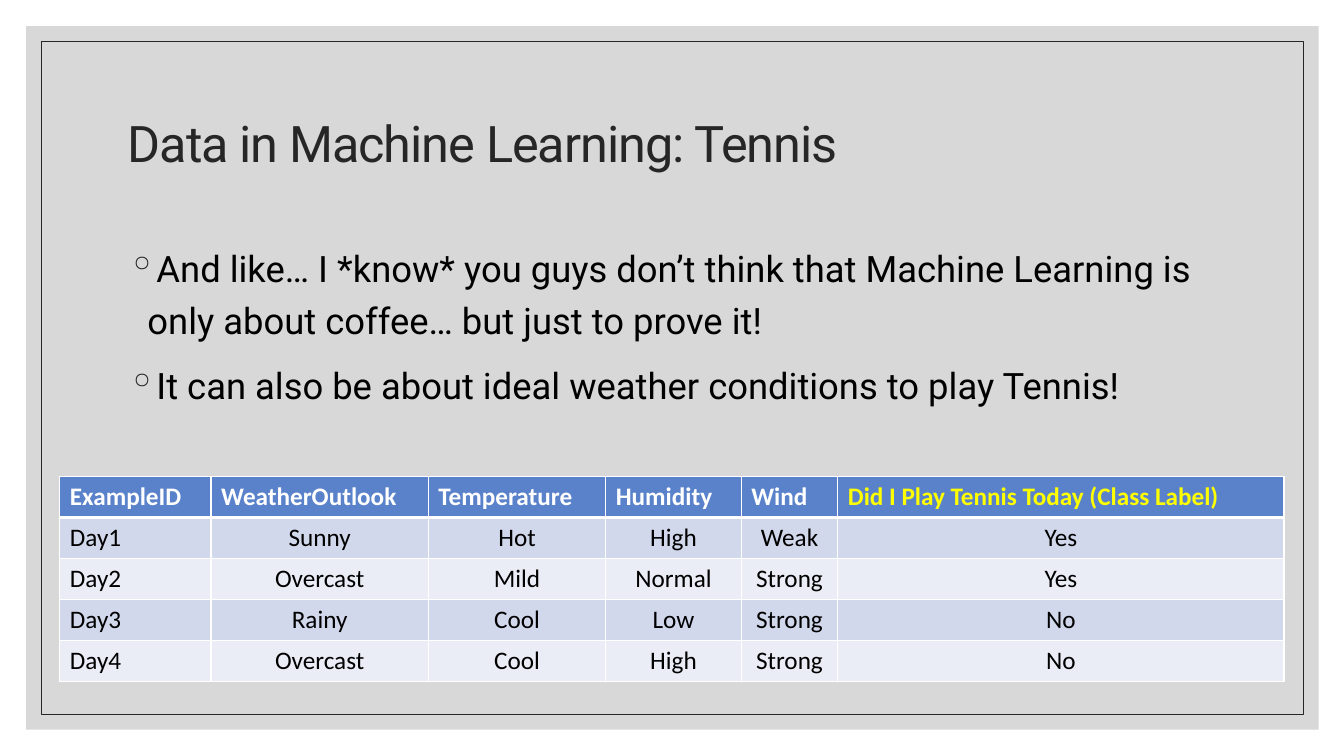
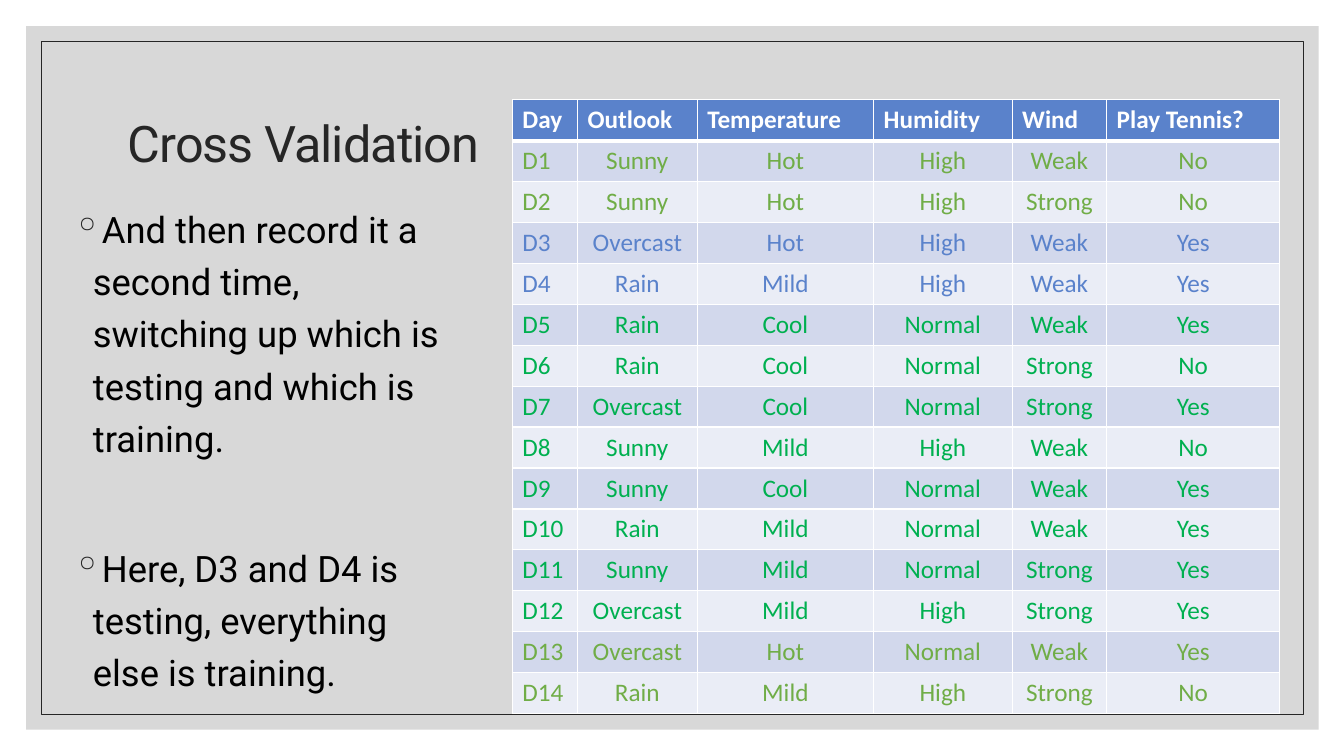
from dataclasses import dataclass
from typing import Any, NamedTuple

from lxml import etree
from pptx import Presentation
from pptx.dml.color import RGBColor
from pptx.enum.shapes import MSO_SHAPE
from pptx.enum.text import MSO_ANCHOR, MSO_AUTO_SIZE, PP_ALIGN
from pptx.oxml.ns import qn
from pptx.util import Pt

RECTANGLE = MSO_SHAPE.RECTANGLE
TOP, MIDDLE = MSO_ANCHOR.TOP, MSO_ANCHOR.MIDDLE
NO_FIT = MSO_AUTO_SIZE.NONE
LEFT, CENTER = PP_ALIGN.LEFT, PP_ALIGN.CENTER

EMU_PER_PX = 9525
ROW_HEIGHT = 39
TITLE_ONLY = 5

COLORS = {
    "panel": "BFBFBF",
    "charcoal": "262626",
    "black": "000000",
    "white": "FFFFFF",
    "yellow": "FFFF00",
    "blue": "5A82CB",
    "band_dark": "D2D8EC",
    "band_light": "EAEDF6",
    "olive": "70AD47",
    "green": "00B050",
}

TITLE_FONT = {"name": "Roboto", "size": Pt(36), "bold": False}
BODY_FONT = {"name": "Roboto", "size": Pt(26), "bold": False}
HEADER_FONT = {"name": "Calibri", "size": Pt(18), "bold": True}
CELL_FONT = {**HEADER_FONT, "bold": False}
TITLE_FRAME = {"word_wrap": True, "auto_size": NO_FIT, "vertical_anchor": MIDDLE}
BODY_FRAME = {"word_wrap": True, "auto_size": NO_FIT, "vertical_anchor": TOP}
TITLE_PARAGRAPH = {"alignment": LEFT, "line_spacing": 0.9}


class Box(NamedTuple):
    left: int
    top: int
    width: int
    height: int

    def emu(self) -> list[int]:
        return [px(length) for length in self]


class Observations(NamedTuple):
    ink: str
    lines: tuple[str, ...]


@dataclass(frozen=True)
class WeatherTable:
    left: int
    top: int
    column_widths: tuple[int, ...]
    headers: tuple[str, ...]
    groups: tuple[Observations, ...]
    class_label_ink: str = "white"


@dataclass(frozen=True)
class Lesson:
    title: str
    bullets: tuple[str, ...]
    bullets_box: Box
    bullet_gap: int
    weather: WeatherTable


PANEL = Box(25, 25, 1231, 670)
BORDER = Box(39, 39, 1202, 641)
TITLE_BOX = Box(112, 67, 1056, 144)

LESSONS = (
    Lesson(
        title="Data in Machine Learning: Tennis",
        bullets=(
            "And like… I *know* you guys don’t think that Machine Learning is only about coffee… but just to prove it!",
            "It can also be about ideal weather conditions to play Tennis!",
        ),
        bullets_box=Box(112, 221, 1044, 404),
        bullet_gap=9,
        weather=WeatherTable(
            left=57,
            top=454,
            column_widths=(144, 207, 169, 129, 92, 425),
            headers=("ExampleID", "WeatherOutlook", "Temperature", "Humidity", "Wind",
                     "Did I Play Tennis Today (Class Label)"),
            groups=(
                Observations("black", (
                    "Day1 Sunny Hot High Weak Yes",
                    "Day2 Overcast Mild Normal Strong Yes",
                    "Day3 Rainy Cool Low Strong No",
                    "Day4 Overcast Cool High Strong No",
                )),
            ),
            class_label_ink="yellow",
        ),
    ),
    Lesson(
        title="Cross Validation",
        bullets=(
            "And then record it a second time, switching up which is testing and which is training.",
            "Here, D3 and D4 is testing, everything else is training.",
        ),
        bullets_box=Box(60, 184, 376, 510),
        bullet_gap=55,
        weather=WeatherTable(
            left=488,
            top=95,
            column_widths=(62, 114, 168, 132, 90, 165),
            headers=("Day", "Outlook", "Temperature", "Humidity", "Wind", "Play Tennis?"),
            groups=(
                Observations("olive", (
                    "D1 Sunny Hot High Weak No",
                    "D2 Sunny Hot High Strong No",
                )),
                Observations("blue", (
                    "D3 Overcast Hot High Weak Yes",
                    "D4 Rain Mild High Weak Yes",
                )),
                Observations("green", (
                    "D5 Rain Cool Normal Weak Yes",
                    "D6 Rain Cool Normal Strong No",
                    "D7 Overcast Cool Normal Strong Yes",
                    "D8 Sunny Mild High Weak No",
                    "D9 Sunny Cool Normal Weak Yes",
                    "D10 Rain Mild Normal Weak Yes",
                    "D11 Sunny Mild Normal Strong Yes",
                    "D12 Overcast Mild High Strong Yes",
                )),
                Observations("olive", (
                    "D13 Overcast Hot Normal Weak Yes",
                    "D14 Rain Mild High Strong No",
                )),
            ),
        ),
    ),
)


def px(length: int) -> int:
    return length * EMU_PER_PX


def rgb(ink: str) -> RGBColor:
    return RGBColor.from_string(COLORS[ink])


def apply(target: Any, values: dict[str, Any]) -> None:
    for attribute, value in values.items():
        setattr(target, attribute, value)


def write(paragraph: Any, wording: str, font: dict[str, Any], ink: str) -> None:
    run = paragraph.add_run()
    run.text = wording
    apply(run.font, font)
    run.font.color.rgb = rgb(ink)


def add_solid(parent: Any, ink: str) -> Any:
    fill = etree.SubElement(parent, qn("a:solidFill"))
    return etree.SubElement(fill, qn("a:srgbClr"), val=COLORS[ink])


def add_backdrop(slide: Any) -> None:
    layout = slide.slide_layout
    for placeholder in list(layout.placeholders):
        if placeholder.placeholder_format.idx != 0:
            placeholder.element.getparent().remove(placeholder.element)

    panel, border = (slide.shapes.add_shape(RECTANGLE, *box.emu()) for box in (PANEL, BORDER))
    panel.fill.solid()
    panel.fill.fore_color.rgb = rgb("panel")
    for color in panel.element.spPr.iter(qn("a:srgbClr")):
        etree.SubElement(color, qn("a:alpha"), val="60000")
    panel.line.fill.background()
    border.fill.background()
    border.line.color.rgb = rgb("charcoal")
    border.line.width = Pt(0.5)
    for position, shape in enumerate((panel, border), start=2):
        shape.shadow.inherit = False
        layout.shapes.element.insert(position, shape.element)


def add_title(slide: Any, wording: str) -> None:
    title = slide.shapes.title
    apply(title, dict(zip(Box._fields, TITLE_BOX.emu())))
    apply(title.text_frame, TITLE_FRAME)
    paragraph = title.text_frame.paragraphs[0]
    apply(paragraph, TITLE_PARAGRAPH)
    write(paragraph, wording, TITLE_FONT, "charcoal")
    for properties in title.element.iter(qn("a:rPr")):
        properties.set("spc", "-70")


def add_bullets(slide: Any, lesson: Lesson) -> None:
    frame = slide.shapes.add_textbox(*lesson.bullets_box.emu()).text_frame
    apply(frame, BODY_FRAME)
    for index, wording in enumerate(lesson.bullets):
        paragraph = frame.add_paragraph() if index else frame.paragraphs[0]
        properties = paragraph._p.get_or_add_pPr()
        apply_indent = {"marL": px(19), "indent": px(-19)}
        for name, length in apply_indent.items():
            properties.set(name, str(length))
        bullet_color = etree.SubElement(properties, qn("a:buClr"))
        etree.SubElement(bullet_color, qn("a:srgbClr"), val=COLORS["charcoal"])
        etree.SubElement(properties, qn("a:buChar"), char="◦")
        gap = Pt(lesson.bullet_gap if index else 0)
        apply(paragraph, {"line_spacing": 1.2, "space_before": gap})
        write(paragraph, wording, BODY_FONT, "black")


def add_borders(cell: Any, row: int) -> None:
    properties = cell._tc.get_or_add_tcPr()
    widths = {"L": 1, "R": 1, "T": 3 if row == 1 else 1, "B": 3 if row == 0 else 1}
    for side, width in widths.items():
        edge = etree.SubElement(properties, qn(f"a:ln{side}"), w=str(Pt(width)))
        add_solid(edge, "white")


def fill_cell(cell: Any, row: int, wording: str, ink: str, centered: bool) -> None:
    add_borders(cell, row)
    band = "band_dark" if row % 2 else "band_light"
    cell.fill.solid()
    cell.fill.fore_color.rgb = rgb(band if row else "blue")
    paragraph = cell.text_frame.paragraphs[0]
    paragraph.alignment = CENTER if centered else LEFT
    write(paragraph, wording, CELL_FONT if row else HEADER_FONT, ink)


def add_weather(slide: Any, weather: WeatherTable) -> None:
    days = [(group.ink, line.split()) for group in weather.groups for line in group.lines]
    row_count, column_count = len(days) + 1, len(weather.headers)
    area = Box(weather.left, weather.top, sum(weather.column_widths), row_count * ROW_HEIGHT)
    table = slide.shapes.add_table(row_count, column_count, *area.emu()).table
    table.horz_banding = False
    for column, width in zip(table.columns, weather.column_widths):
        column.width = px(width)
    for row in table.rows:
        row.height = px(ROW_HEIGHT)
    for column, header in enumerate(weather.headers):
        ink = weather.class_label_ink if column == column_count - 1 else "white"
        fill_cell(table.cell(0, column), 0, header, ink, False)
    for row, (ink, readings) in enumerate(days, start=1):
        for column, reading in enumerate(readings):
            fill_cell(table.cell(row, column), row, reading, ink, column > 0)


def main() -> None:
    deck = Presentation()
    apply(deck, {"slide_width": px(1280), "slide_height": px(720)})
    layout = deck.slide_layouts[TITLE_ONLY]
    for index, lesson in enumerate(LESSONS):
        slide = deck.slides.add_slide(layout)
        if index == 0:
            add_backdrop(slide)
        add_title(slide, lesson.title)
        add_bullets(slide, lesson)
        add_weather(slide, lesson.weather)
    deck.save("out.pptx")


if __name__ == "__main__":
    main()
